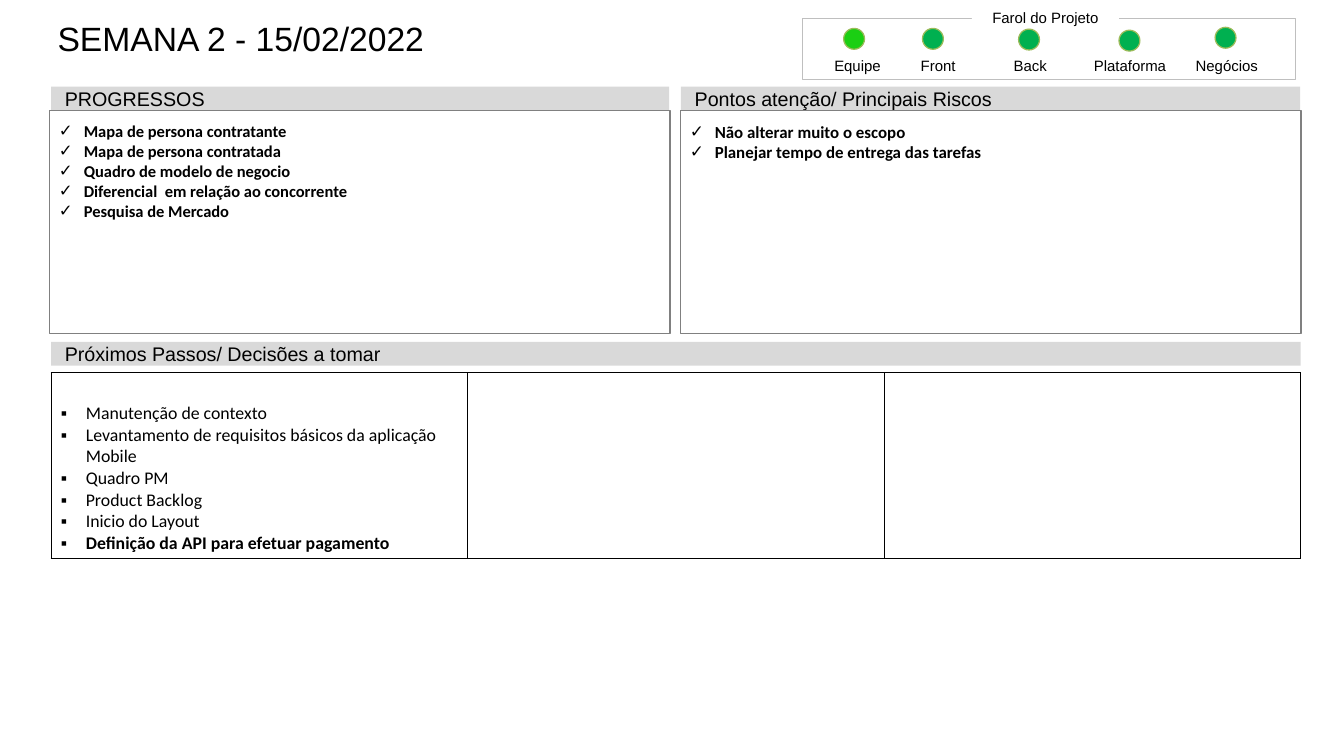
from dataclasses import dataclass

from pptx import Presentation
from pptx.dml.color import RGBColor
from pptx.enum.shapes import MSO_SHAPE as Preset
from pptx.enum.text import MSO_ANCHOR as Anchor, PP_ALIGN as Align
from pptx.oxml import parse_xml
from pptx.oxml.ns import nsdecls
from pptx.util import Cm, Pt

COLORS = {
    "black": "000000", "white": "FFFFFF", "header": "D9D9D9", "panel": "808080",
    "frame": "BFBFBF", "green": "00B050", "bright": "1BCF13", "ring": "9BBB59",
}
LEFT, FULL_WIDTH = 1.42, 34.72
HEADER_HEIGHT = 0.66
DOT_SIZE = 0.58
HEADER_FONT = {"name": "Arial", "size": Pt(15.5)}
LABEL_FONT = {"name": "Arial", "size": Pt(11.8)}
HEADER_FRAME = {
    "word_wrap": True, "vertical_anchor": Anchor.MIDDLE,
    "margin_left": Cm(0.38), "margin_right": Cm(0.38),
    "margin_top": Cm(0.18), "margin_bottom": Cm(0.18),
}
LABEL_FRAME = {
    "word_wrap": False, "vertical_anchor": Anchor.BOTTOM,
    "margin_left": Cm(0.15), "margin_right": Cm(0.15),
    "margin_top": Cm(0.15), "margin_bottom": 0,
}
PANEL_FRAME = {
    "word_wrap": True, "vertical_anchor": Anchor.TOP,
    "margin_left": Cm(0.25), "margin_right": Cm(0.25),
    "margin_top": Cm(0.3), "margin_bottom": Cm(0.13),
}
TITLE_FRAME = {
    "word_wrap": True, "margin_left": Cm(0.3), "margin_right": Cm(0.3),
    "margin_top": 0, "margin_bottom": 0,
}


@dataclass
class Box:
    left: float
    top: float
    width: float
    height: float

    def lengths(self) -> list:
        return [Cm(side) for side in (self.left, self.top, self.width, self.height)]


@dataclass
class Header:
    text: str
    box: Box


@dataclass
class Panel:
    left: float
    size: float
    items: list[str]


@dataclass
class Light:
    label: str
    label_left: float
    dot_left: float
    dot_top: float
    color: str = "green"


HEADERS = [
    Header("PROGRESSOS", Box(LEFT, 2.41, 17.17, HEADER_HEIGHT)),
    Header("Pontos atenção/ Principais Riscos", Box(18.92, 2.41, 17.2, HEADER_HEIGHT)),
    Header("Próximos Passos/ Decisões a tomar", Box(LEFT, 9.5, FULL_WIDTH, HEADER_HEIGHT)),
]
PANELS = [
    Panel(1.37, 13, [
        "Mapa de persona contratante",
        "Mapa de persona contratada",
        "Quadro de modelo de negocio",
        "Diferencial  em relação ao concorrente",
        "Pesquisa de Mercado",
    ]),
    Panel(18.9, 13.3, [
        "Não alterar muito o escopo",
        "Planejar tempo de entrega das tarefas",
    ]),
]
NEXT_STEPS = [
    "Manutenção de contexto",
    "Levantamento de requisitos básicos da aplicação Mobile",
    "Quadro PM",
    "Product Backlog",
    "Inicio do Layout",
    "Definição da API para efetuar pagamento",
]
LIGHTS = [
    Light("Equipe", 22.58, 23.44, 0.79, "bright"),
    Light("Front", 24.82, 25.63, 0.79),
    Light("Back", 27.38, 28.3, 0.81),
    Light("Plataforma", 30.15, 31.09, 0.84),
    Light("Negócios", 32.84, 33.76, 0.76),
]


def color(name: str) -> RGBColor:
    return RGBColor.from_string(COLORS[name])


def apply(target, values: dict) -> None:
    for name, value in values.items():
        setattr(target, name, value)


def write(para, text: str, font: dict) -> None:
    span = para.add_run()
    span.text = text
    apply(span.font, font)
    span.font.color.rgb = color("black")


def write_list(frame, items: list[str], mark: str, font: dict):
    """Fill the frame with bulleted paragraphs and return the last one."""
    for index, item in enumerate(items):
        para = frame.add_paragraph() if index else frame.paragraphs[0]
        para.alignment = Align.LEFT
        write(para, item, font)
        props = para._p.get_or_add_pPr()
        props.set("marL", str(Cm(0.71)))
        props.set("indent", str(Cm(-0.69)))
        for content in (
            f'<a:buClr {nsdecls("a")}><a:srgbClr val="{COLORS["black"]}"/></a:buClr>',
            f'<a:buFont {nsdecls("a")} typeface="Arial"/>',
            f'<a:buChar {nsdecls("a")} char="{mark}"/>',
        ):
            props.append(parse_xml(content))
    return para


def add_shape(page, preset: Preset, box: Box, fill: str = "", line: str = "", weight: float = 1):
    shape = page.shapes.add_shape(preset, *box.lengths())
    shape.shadow.inherit = False
    if fill:
        shape.fill.solid()
        shape.fill.fore_color.rgb = color(fill)
    else:
        shape.fill.background()
    if line:
        shape.line.color.rgb = color(line)
        shape.line.width = Pt(weight)
    else:
        shape.line.fill.background()
    return shape


def set_text(shape, text: str, frame: dict, font: dict, align: Align = Align.LEFT) -> None:
    apply(shape.text_frame, frame)
    para = shape.text_frame.paragraphs[0]
    para.alignment = align
    write(para, text, font)


def add_panel(page, panel: Panel) -> None:
    shape = add_shape(page, Preset.RECTANGLE, Box(panel.left, 3.07, 17.25, 6.2), line="panel")
    apply(shape.text_frame, PANEL_FRAME)
    font = {"name": "Calibri", "size": Pt(panel.size), "bold": True}
    write_list(shape.text_frame, panel.items, "✓", font)


def add_light(page, light: Light) -> None:
    dot = Box(light.dot_left, light.dot_top, DOT_SIZE, DOT_SIZE)
    add_shape(page, Preset.OVAL, dot, light.color, "ring")
    label = page.shapes.add_textbox(*Box(light.label_left, 1.6, 2.49, 0.48).lengths())
    set_text(label, light.label, LABEL_FRAME, LABEL_FONT, Align.CENTER)


def add_steps_table(page) -> None:
    table = page.shapes.add_table(1, 3, *Box(LEFT, 10.36, FULL_WIDTH, 5.16).lengths()).table
    apply(table, {"first_row": False, "horz_banding": False})
    for cell in table.iter_cells():
        props = cell._tc.get_or_add_tcPr()
        for side in ("lnL", "lnR", "lnT", "lnB"):
            props.append(parse_xml(
                f'<a:{side} {nsdecls("a")} w="{Pt(1)}"><a:solidFill>'
                f'<a:srgbClr val="{COLORS["black"]}"/></a:solidFill></a:{side}>'))
        cell.fill.background()
    steps = table.cell(0, 0)
    steps.margin_top = Cm(0.83)
    last = write_list(steps.text_frame, NEXT_STEPS, "▪", {"name": "Calibri", "size": Pt(14)})
    last.runs[0].font.bold = True


def main() -> None:
    deck = Presentation()
    apply(deck, {"slide_width": Cm(37.34), "slide_height": Cm(21.01)})
    page = deck.slides.add_slide(deck.slide_layouts[6])
    title = page.shapes.add_textbox(*Box(1.3, 0.51, 33.6, 2.21).lengths())
    set_text(title, "SEMANA 2 - 15/02/2022", TITLE_FRAME, {"name": "Arial", "size": Pt(26.5)})
    for header in HEADERS:
        bar = add_shape(page, Preset.RECTANGLE, header.box, "header")
        set_text(bar, header.text, HEADER_FRAME, HEADER_FONT)
    for panel in PANELS:
        add_panel(page, panel)
    add_steps_table(page)
    for light in LIGHTS:
        add_light(page, light)
    add_shape(page, Preset.RECTANGLE, Box(22.28, 0.51, 13.72, 1.7), line="frame", weight=0.5)
    caption = add_shape(page, Preset.RECTANGLE, Box(27, 0.15, 4.09, 0.58), "white")
    set_text(caption, "Farol do Projeto", LABEL_FRAME, LABEL_FONT, Align.CENTER)
    deck.save("out.pptx")


if __name__ == "__main__":
    main()
